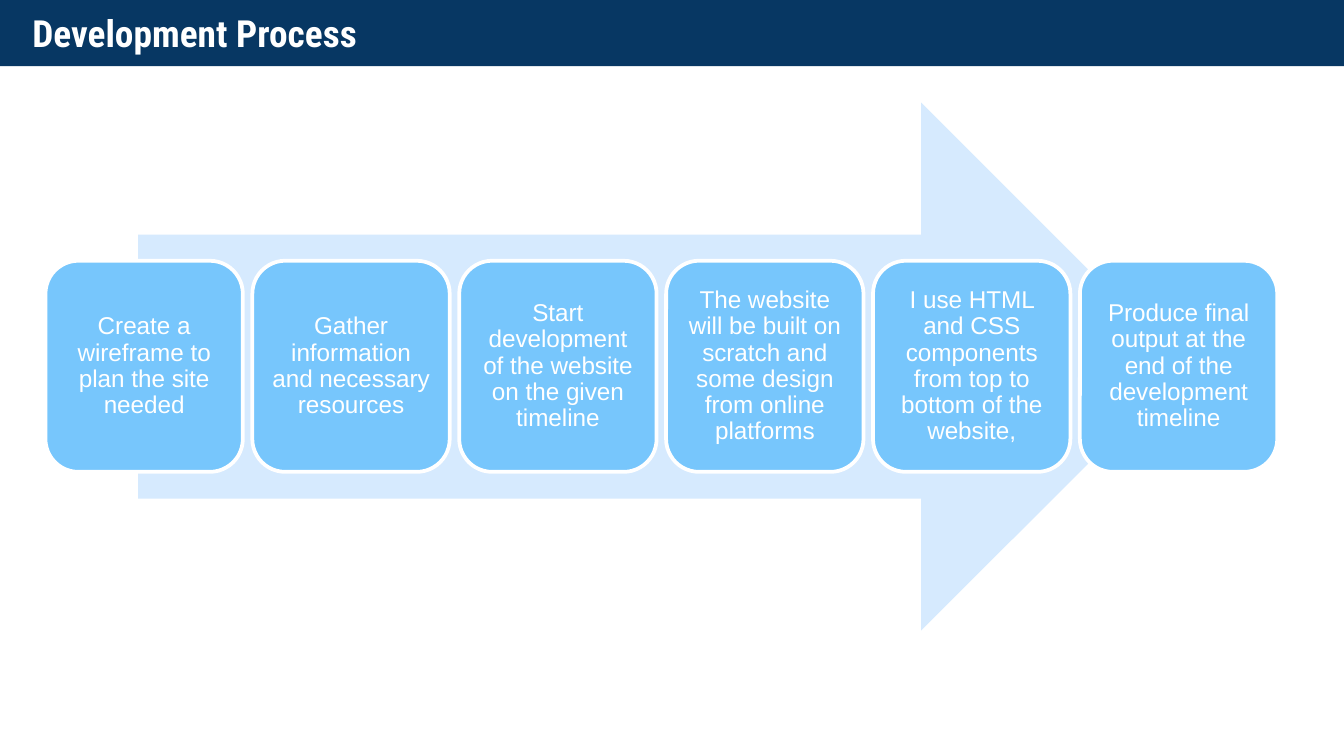
import pptx
import pptx.dml.color
import pptx.enum.shapes
import pptx.enum.text
import pptx.util

Cm = pptx.util.Cm
Pt = pptx.util.Pt
Shape = pptx.enum.shapes.MSO_SHAPE
Align = pptx.enum.text.PP_ALIGN

NAVY = pptx.dml.color.RGBColor(0x07, 0x37, 0x63)
PALE_BLUE = pptx.dml.color.RGBColor(0xD6, 0xEA, 0xFE)
SKY_BLUE = pptx.dml.color.RGBColor(0x77, 0xC6, 0xFC)
WHITE = pptx.dml.color.RGBColor(0xFF, 0xFF, 0xFF)

SLIDE_WIDTH, SLIDE_HEIGHT = 25.4, 14.29
BAR_HEIGHT = 1.25
STEP_LEFT, STEP_TOP, STEP_PITCH = 0.86, 4.93, 3.91
STEP_WIDTH, STEP_HEIGHT = 3.73, 3.99

STEPS = [
    "Create a wireframe to plan the site needed",
    "Gather information and necessary resources",
    "Start development of the website on the given timeline",
    "The website will be built on scratch and some design from online platforms",
    "I use HTML and CSS components from top to bottom of the website,",
    "Produce final output at the end of the development timeline",
]


class ProcessSlide:
    title_font = "Roboto Condensed"
    step_font = "Arial"

    def __init__(self, deck):
        self.slide = deck.slides.add_slide(deck.slide_layouts[5])

    def block(self, kind, left, top, width, height, fill):
        """Add a flat filled shape without an outline; lengths in cm."""
        shape = self.slide.shapes.add_shape(
            kind, Cm(left), Cm(top), Cm(width), Cm(height))
        shape.shadow.inherit = False
        shape.fill.solid()
        shape.fill.fore_color.rgb = fill
        shape.line.fill.background()
        return shape

    def label(self, shape, text, font, size, align, inset, bold=False):
        frame = shape.text_frame
        frame.word_wrap = True
        frame.auto_size = pptx.enum.text.MSO_AUTO_SIZE.NONE
        frame.vertical_anchor = pptx.enum.text.MSO_ANCHOR.MIDDLE
        frame.margin_left = frame.margin_right = Cm(inset)
        frame.margin_top = frame.margin_bottom = Cm(inset)
        paragraph = frame.paragraphs[0]
        paragraph.alignment = align
        run = paragraph.add_run()
        run.text = text
        run.font.name = font
        run.font.size = Pt(size)
        run.font.bold = bold
        run.font.color.rgb = WHITE
        return paragraph

    def title_bar(self, text):
        bar = self.block(Shape.RECTANGLE, 0, 0, SLIDE_WIDTH, BAR_HEIGHT, NAVY)
        title = self.slide.shapes.title
        title._element.addprevious(bar._element)  # keep the bar behind the title
        title.left, title.top = Cm(0.36), Cm(0)
        title.width, title.height = Cm(24.23), Cm(BAR_HEIGHT)
        self.label(title, text, self.title_font, 20, Align.LEFT, 0.25, bold=True)

    def step(self, left, text):
        card = self.block(Shape.ROUNDED_RECTANGLE, left, STEP_TOP,
                          STEP_WIDTH, STEP_HEIGHT, SKY_BLUE)
        card.line.color.rgb = WHITE
        card.line.width = Pt(2)
        caption = self.label(card, text, self.step_font, 13, Align.CENTER, 0.13)
        caption.line_spacing = 0.9


def main():
    deck = pptx.Presentation()
    deck.slide_width, deck.slide_height = Cm(SLIDE_WIDTH), Cm(SLIDE_HEIGHT)

    process = ProcessSlide(deck)
    process.title_bar("Development Process")
    process.block(Shape.RIGHT_ARROW, 2.61, 1.94, 19.79, 9.98, PALE_BLUE)
    for index, text in enumerate(STEPS):
        process.step(STEP_LEFT + index * STEP_PITCH, text)

    deck.save("out.pptx")


if __name__ == "__main__":
    main()
